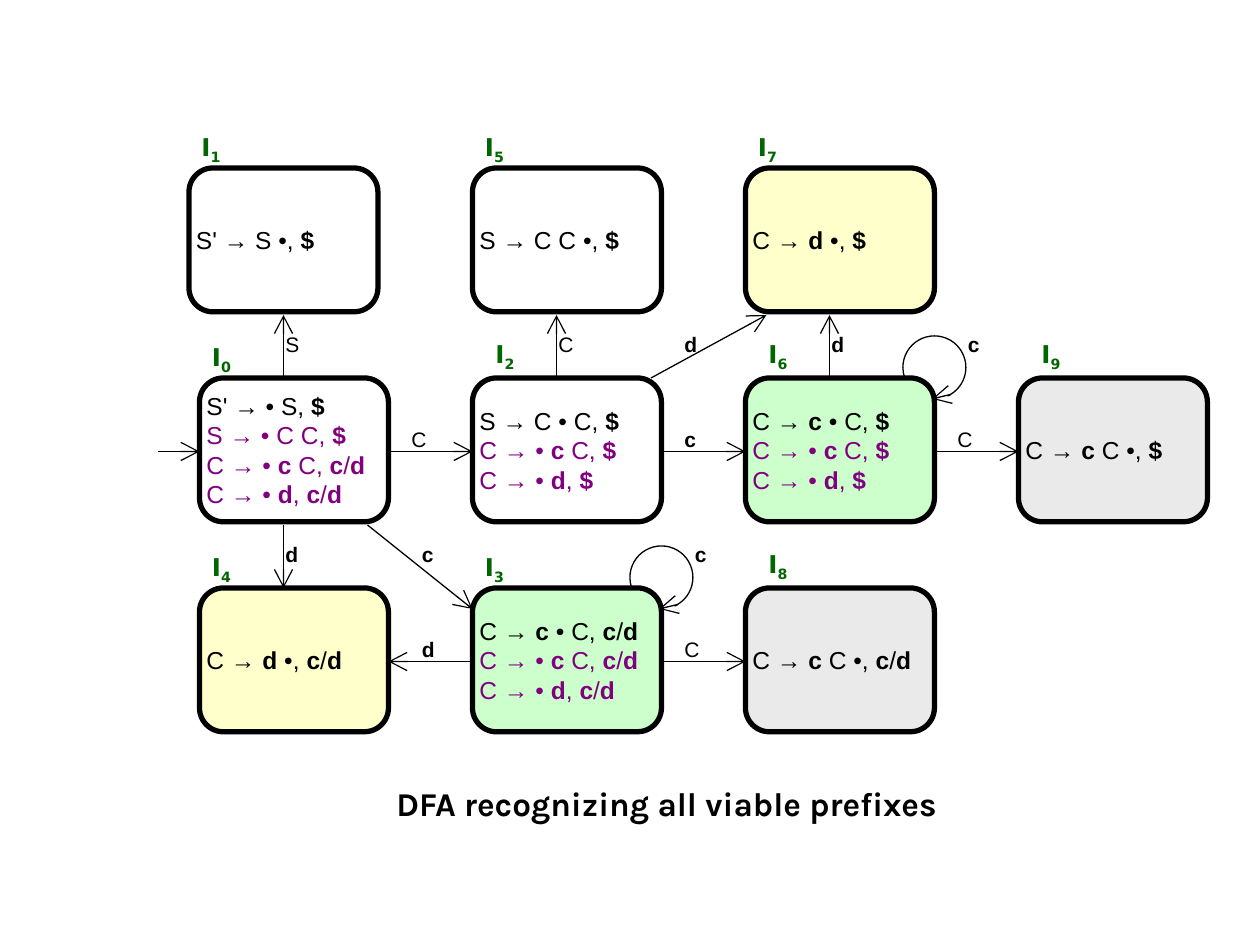
from dataclasses import dataclass

from lxml import etree
from pptx import Presentation
from pptx.dml.color import RGBColor
from pptx.enum.shapes import MSO_CONNECTOR as Connector
from pptx.enum.shapes import MSO_SHAPE as Shape
from pptx.enum.text import MSO_ANCHOR as Anchor
from pptx.enum.text import MSO_AUTO_SIZE as AutoSize
from pptx.enum.text import PP_ALIGN as Align
from pptx.oxml.ns import qn
from pptx.util import Emu, Pt

PX = 7620  # EMU per px, 120 px to the inch
STATE_WIDTH, STATE_HEIGHT = 180, 137
LABEL_PLAIN, LABEL_RAISED = (0, -40), (10, -43)


@dataclass(frozen=True)
class Theme:
    ink: str = "000000"
    derived: str = "800080"
    label: str = "006600"
    white: str = "FFFFFF"
    yellow: str = "FFFFCC"
    green: str = "CCFFCC"
    grey: str = "EAEAEA"
    body_font: str = "Arial"
    label_font: str = "DejaVu Sans"
    caption_font: str = "Karla"
    item_size: int = 14
    edge_size: int = 12
    caption_size: int = 19
    border: float = 3
    stroke: float = 0.75


def column(index):
    return 190 + 260 * index


def row(index):
    return 160 + 200 * index


class Diagram:
    def __init__(self, slide, theme):
        self.slide = slide
        self.theme = theme

    def box(self, *lengths):
        return [Emu(length * PX) for length in lengths]

    def run(self, paragraph, text, size, color, font, bold=False):
        run = paragraph.add_run()
        run.text = text
        run.font.size = Pt(size)
        run.font.name = font
        run.font.bold = bold
        run.font.color.rgb = RGBColor.from_string(color)
        return run

    def text_box(self, x, y, width, height):
        frame = self.slide.shapes.add_textbox(*self.box(x, y, width, height)).text_frame
        frame.word_wrap = True
        return frame

    def stroke(self, line, width):
        line.color.rgb = RGBColor.from_string(self.theme.ink)
        line.width = Pt(width)

    def arrowhead(self, line_xml):
        etree.SubElement(line_xml, qn("a:tailEnd"), type="arrow", w="lg", len="lg")

    def state(self, number, x, y, fill, items, label_offset):
        """A rounded box of items; the first is the kernel, *stars* mark bold."""
        theme = self.theme
        shape = self.slide.shapes.add_shape(
            Shape.ROUNDED_RECTANGLE, *self.box(x, y, STATE_WIDTH, STATE_HEIGHT))
        shape.shadow.inherit = False
        shape.fill.solid()
        shape.fill.fore_color.rgb = RGBColor.from_string(fill)
        self.stroke(shape.line, theme.border)
        frame = shape.text_frame
        frame.word_wrap = False
        frame.vertical_anchor = Anchor.MIDDLE
        frame.margin_left = frame.margin_right = 0
        frame.margin_top = frame.margin_bottom = 0
        for index, item in enumerate(items):
            paragraph = frame.add_paragraph() if index else frame.paragraphs[0]
            paragraph.alignment = Align.LEFT
            color = theme.derived if index else theme.ink
            for part, text in enumerate(item.split("*")):
                if text:
                    self.run(paragraph, text, theme.item_size, color,
                             theme.body_font, bold=part % 2 == 1)
        self.state_label(number, x + label_offset[0], y + label_offset[1])

    def state_label(self, number, x, y):
        theme = self.theme
        frame = self.text_box(x, y, 90, 44)
        frame.auto_size = AutoSize.SHAPE_TO_FIT_TEXT
        style = (theme.item_size, theme.label, theme.label_font, True)
        self.run(frame.paragraphs[0], "I", *style)
        subscript = self.run(frame.paragraphs[0], str(number), *style)
        subscript.font._element.set("baseline", "-25000")

    def edge_label(self, symbol, x, y):
        """Terminals, which are lower case, are bold."""
        theme = self.theme
        frame = self.text_box(x, y, 40, 36)
        frame.auto_size = AutoSize.SHAPE_TO_FIT_TEXT
        paragraph = frame.paragraphs[0]
        paragraph.space_before = Pt(7.5)
        self.run(paragraph, symbol, theme.edge_size, theme.ink,
                 theme.body_font, symbol.islower())

    def arrow(self, x1, y1, x2, y2):
        connector = self.slide.shapes.add_connector(
            Connector.STRAIGHT, *self.box(x1, y1, x2, y2))
        self.stroke(connector.line, self.theme.stroke)
        properties = connector._element.spPr
        self.arrowhead(properties.find(qn("a:ln")))
        etree.SubElement(properties, qn("a:effectLst"))

    def loop(self, x, y):
        """A self-transition at the top right corner of the state at x, y."""
        arc = self.slide.shapes.add_shape(
            Shape.ARC, *self.box(x + STATE_WIDTH - 30, y - 40, 60, 60))
        arc.shadow.inherit = False
        arc.fill.background()
        for index, degrees in enumerate((161, 94)):
            arc.adjustments[index] = degrees * 0.6
        self.stroke(arc.line, self.theme.stroke)
        self.arrowhead(arc._element.spPr.find(qn("a:ln")))

    def caption(self, text, x, y, width, height):
        theme = self.theme
        paragraph = self.text_box(x, y, width, height).paragraphs[0]
        paragraph.alignment = Align.CENTER
        paragraph.space_before = Pt(4.8)
        self.run(paragraph, text, theme.caption_size, theme.ink,
                 theme.caption_font, bold=True)


def main():
    presentation = Presentation()
    presentation.slide_width, presentation.slide_height = Emu(1200 * PX), Emu(900 * PX)
    slide = presentation.slides.add_slide(presentation.slide_layouts[6])
    theme = Theme()
    diagram = Diagram(slide, theme)

    # States: number, left, top, fill, items, label offset
    states = [
        (0, column(0), row(1), theme.white,
         ["S' → • S, *$*", "S → • C C, *$*", "C → • *c* C, *c*/*d*",
          "C → • *d*, *c*/*d*"], LABEL_PLAIN),
        (1, 180, row(0), theme.white, ["S' → S •, *$*"], LABEL_PLAIN),
        (2, column(1), row(1), theme.white,
         ["S → C • C, *$*", "C → • *c* C, *$*", "C → • *d*, *$*"], LABEL_RAISED),
        (3, column(1), row(2), theme.green,
         ["C → *c *• C, *c*/*d*", "C → • *c* C, *c*/*d*", "C → • *d*, *c*/*d*"],
         LABEL_PLAIN),
        (4, column(0), row(2), theme.yellow, ["C → *d *•, *c*/*d*"], LABEL_PLAIN),
        (5, column(1), row(0), theme.white, ["S → C C •, *$*"], LABEL_PLAIN),
        (6, column(2), row(1), theme.green,
         ["C → *c *• C, *$*", "C → • *c* C, *$*", "C → • *d*, *$*"], LABEL_RAISED),
        (7, column(2), row(0), theme.yellow, ["C → *d *•, *$*"], LABEL_PLAIN),
        (8, column(2), row(2), theme.grey, ["C → *c* C •, *c*/*d*"], LABEL_RAISED),
        (9, column(3), row(1), theme.grey, ["C → *c* C •, *$*"], LABEL_RAISED),
    ]
    for state in states:
        diagram.state(*state)

    # Start arrow and transitions: symbol, label position, arrow ends
    diagram.arrow(150, 430, column(0), 430)
    transitions = [
        ("S", (260, 310), (270, 360, 270, 300)),
        ("C", (520, 310), (530, 360, 530, 300)),
        ("d", (780, 310), (790, 360, 790, 300)),
        ("d", (640, 310), (620, 360, 730, 300)),
        ("C", (380, 400), (370, 430, 450, 430)),
        ("c", (640, 400), (630, 430, 710, 430)),
        ("C", (900, 400), (890, 430, 970, 430)),
        ("d", (260, 510), (270, 500, 270, 560)),
        ("c", (390, 510), (350, 500, 450, 580)),
        ("d", (390, 600), (450, 630, 370, 630)),
        ("C", (640, 600), (630, 630, 710, 630)),
    ]
    for symbol, position, ends in transitions:
        diagram.arrow(*ends)
        diagram.edge_label(symbol, *position)

    # Self-transitions on c
    for x, y in ((column(2), row(1)), (column(1), row(2))):
        diagram.loop(x, y)
        diagram.edge_label("c", x + 200, y - 50)

    # Caption
    diagram.caption("DFA recognizing all viable prefixes", 270, 740, 730, 60)

    presentation.save("out.pptx")


if __name__ == "__main__":
    main()
